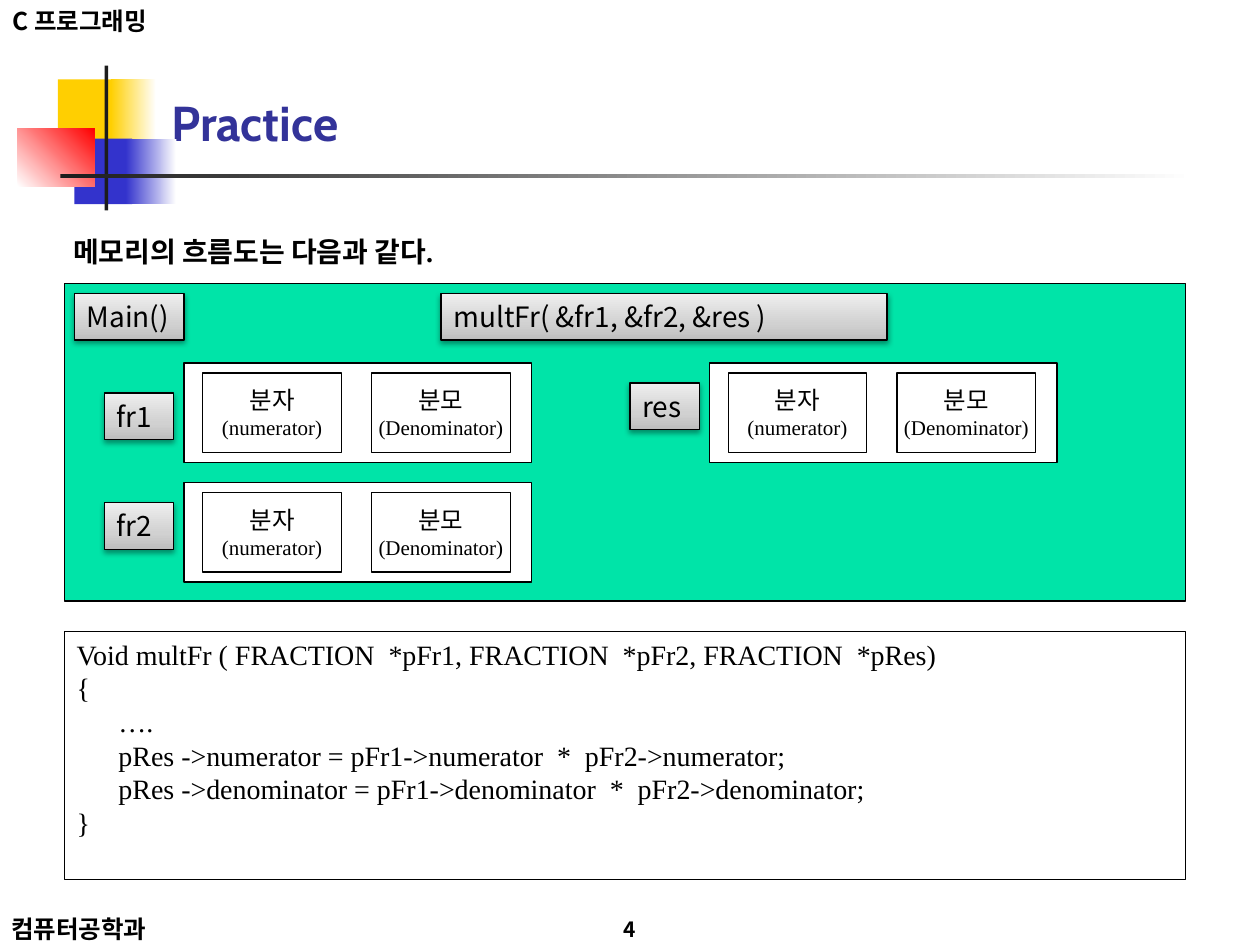
from lxml import etree
from pptx import Presentation
from pptx.dml.color import RGBColor
from pptx.enum import shapes, text
from pptx.oxml import ns
from pptx.util import Inches, Pt

SANS, SERIF, HEADING = "Noto Sans CJK KR", "Times New Roman", "Cabin"
MIDDLE, TOP = text.MSO_ANCHOR.MIDDLE, text.MSO_ANCHOR.TOP
LEFT, CENTER = text.PP_ALIGN.LEFT, text.PP_ALIGN.CENTER
BLACK, WHITE = "000000", "FFFFFF"
SILVER = ([(0, "BDBDBD"), (35, "D1D1D1"), (100, "EEEEEE")], 90)

TITLE = "Practice"
INTRO = "메모리의 흐름도는 다음과 같다."
CORNER_TEXTS = [
    ("C 프로그래밍", (0, 0, 1.5, 0.33), 14, LEFT),
    ("컴퓨터공학과", (-0.01, 7.25, 1.5, 0.24), 14, LEFT),
    ("4", (4.54, 7.25, 0.92, 0.25), 12, CENTER),
]
ORNAMENT = [
    ((0.46, 0.63, 0.48, 0.52), "FFCF01"),
    ((0.88, 0.63, 0.36, 0.52), ([(0, "FFCF01"), (100, WHITE)], 0)),
    ((0.59, 1.1, 0.46, 0.52), "3333CC"),
    ((1, 1.1, 0.4, 0.52), ([(0, "3333CC"), (100, WHITE)], 0)),
    ((0.14, 1.02, 0.61, 0.46), ([(0, WHITE), (100, "FF0000")], 45)),
    ((0.83, 0.52, 0.03, 1.15), "1C1C1C"),
    ((0.48, 1.38, 9, 0.03), ([(0, "1C1C1C"), (100, WHITE)], 0)),
]
FRACTIONS = [(1.46, 2.88), (1.46, 3.83), (5.63, 2.88)]
FIELDS = [("분자", "(numerator)"), ("분모", "(Denominator)")]
FIELD_PITCH = 1.34
LABELS = [
    ("fr1", 0.83, 3.12, 0.55),
    ("fr2", 0.83, 3.99, 0.55),
    ("res", 5, 3.04, 0.55),
    ("Main()", 0.59, 2.33, 0.87),
    ("multFr( &fr1, &fr2, &res )", 3.5, 2.33, 3.54),
]
CODE = [
    "Void multFr ( FRACTION  *pFr1, FRACTION  *pFr2, FRACTION  *pRes)",
    "{",
    "      ….",
    "      pRes ->numerator = pFr1->numerator  *  pFr2->numerator;",
    "      pRes ->denominator = pFr1->denominator  *  pFr2->denominator;",
    "}",
]


def rgb(value):
    return RGBColor.from_string(value)


def add_xml(parent, tag, **attributes):
    return etree.SubElement(parent, ns.qn(tag), attributes)


def paint(box, fill):
    if isinstance(fill, str):
        box.fill.solid()
        box.fill.fore_color.rgb = rgb(fill)
        return
    stops, angle = fill
    box.fill.gradient()
    box.fill.gradient_angle = angle
    stop_list = next(box._element.iter(ns.qn("a:gsLst")))
    for stop in list(stop_list):
        stop_list.remove(stop)
    for position, color in stops:
        stop = add_xml(stop_list, "a:gs", pos=str(position * 1000))
        add_xml(stop, "a:srgbClr", val=color)


def add_box(parent, place, fill, outline=BLACK):
    box = parent.add_shape(shapes.MSO_SHAPE.RECTANGLE, *map(Inches, place))
    paint(box, fill)
    if outline:
        box.line.color.rgb = rgb(outline)
        box.line.width = Pt(0.75)
    else:
        box.line.fill.background()
    box.shadow.inherit = False
    return box


def cast_shadow(box):
    effects = box._element.spPr.find(ns.qn("a:effectLst"))
    shadow = add_xml(effects, "a:outerShdw", blurRad="40000", dist="20000",
                     dir="5400000", rotWithShape="0")
    add_xml(add_xml(shadow, "a:srgbClr", val=BLACK), "a:alpha", val="38000")


def drop_bullet(paragraph):
    layout = paragraph._p.get_or_add_pPr()
    layout.set("marL", "0")
    layout.set("indent", "0")
    add_xml(layout, "a:buNone")


def write(box, lines, sizes, name, color=BLACK, bold=False, align=LEFT,
          anchor=MIDDLE, wrap=False, bulleted=True):
    frame = box.text_frame
    frame.word_wrap = wrap
    frame.vertical_anchor = anchor
    frame.text = "\n".join(lines)
    for paragraph, size in zip(frame.paragraphs, sizes):
        if not bulleted:
            drop_bullet(paragraph)
        paragraph.alignment = align
        font = paragraph.font
        font.name, font.size, font.bold = name, Pt(size), bold
        font.color.rgb = rgb(color)
        add_xml(font._element, "a:ea", typeface=SANS)


def move(box, *place):
    box.left, box.top, box.width, box.height = map(Inches, place)


def main():
    deck = Presentation()
    deck.slide_width, deck.slide_height = Inches(10), Inches(7.5)
    slide = deck.slides.add_slide(deck.slide_layouts[1])
    canvas = slide.shapes

    title, intro = slide.placeholders
    move(title, 1.26, 0.68, 8.32, 0.57)
    write(title, [TITLE], [28], HEADING, "333399", True, wrap=True)

    move(intro, 0.48, 1.7, 9.08, 5.25)
    write(intro, [INTRO], [16], SERIF, bold=True, anchor=TOP, wrap=True,
          bulleted=False)
    intro.text_frame.margin_top = Inches(0.11)
    intro_line = intro.text_frame.paragraphs[0]
    intro_line.line_spacing = 1.2
    intro_line.space_before, intro_line.space_after = Pt(0), Pt(6)

    ornament = canvas.add_group_shape()
    for place, fill in ORNAMENT:
        add_box(ornament.shapes, place, fill, None)

    for words, place, size, align in CORNER_TEXTS:
        corner = canvas.add_textbox(*map(Inches, place))
        write(corner, [words], [size], SANS, bold=True, align=align, wrap=True)

    add_box(canvas, (0.51, 2.25, 8.9, 2.52), "00E4A8")
    for left, top in FRACTIONS:
        add_box(canvas, (left, top, 2.76, 0.79), WHITE)
        for column, field in enumerate(FIELDS):
            place = (left + 0.15 + column * FIELD_PITCH, top + 0.08, 1.1, 0.63)
            write(add_box(canvas, place, WHITE), field, [14, 12], SERIF, align=CENTER)

    for words, left, top, width in LABELS:
        label = add_box(canvas, (left, top, width, 0.37), SILVER)
        cast_shadow(label)
        write(label, [words], [16], SANS, anchor=TOP, wrap=True)

    code = add_box(canvas, (0.51, 5.01, 8.9, 1.97), WHITE)
    write(code, CODE, [16] * len(CODE), SERIF, anchor=TOP)

    deck.save("out.pptx")


if __name__ == "__main__":
    main()
